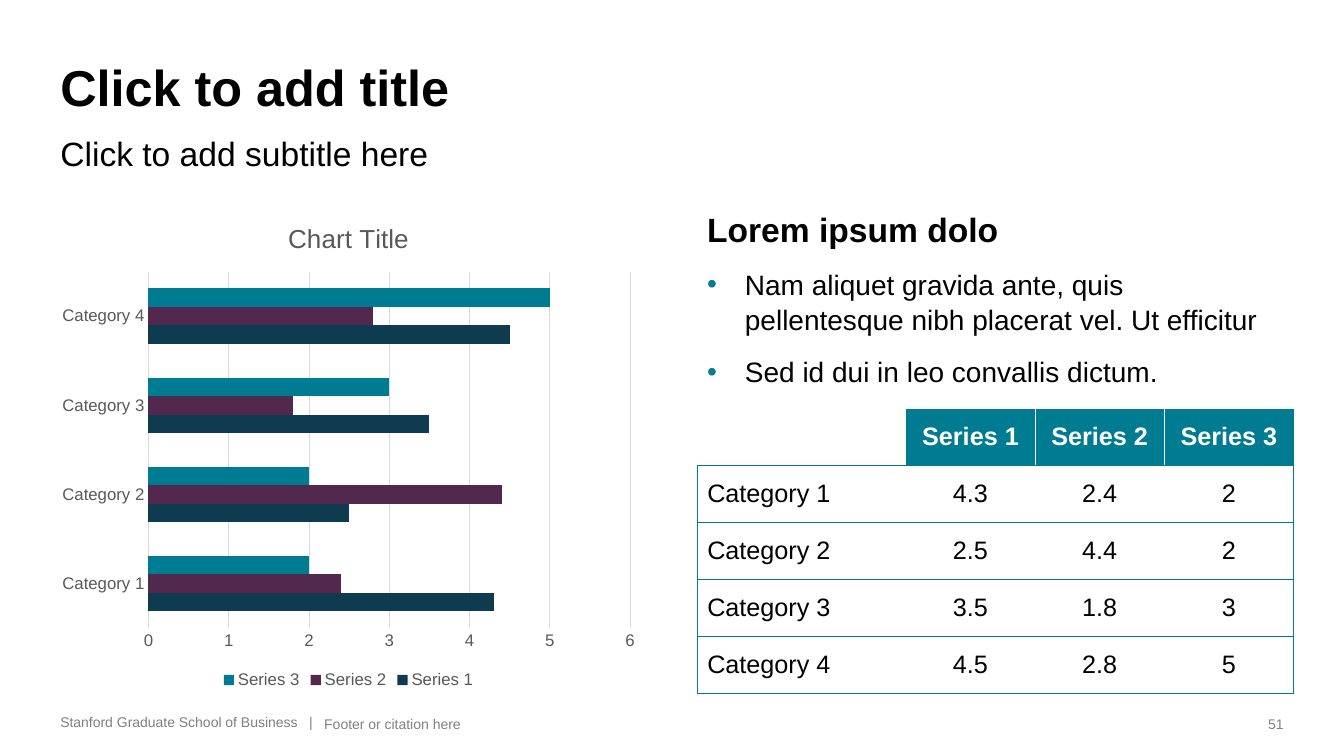
from dataclasses import dataclass

from lxml import etree
from pptx import Presentation
from pptx.chart.data import CategoryChartData
from pptx.dml.color import RGBColor
from pptx.enum.chart import XL_CHART_TYPE as Chart, XL_LEGEND_POSITION as Legend
from pptx.enum.chart import XL_TICK_MARK as Tick
from pptx.enum.text import MSO_ANCHOR as Anchor, PP_ALIGN as Align
from pptx.oxml.ns import qn
from pptx.util import Pt

FONT = "Arial"
BLACK, WHITE, TEAL = "000000", "FFFFFF", "007C92"
GRAY, CHART_TEXT, GRID = "808080", "595959", "D9D9D9"
LEFT, RIGHT_COL, COL_W = 36, 498, 426

CATEGORIES = [f"Category {n}" for n in range(1, 5)]


@dataclass
class Series:
    name: str
    values: tuple[float, ...]
    color: str


@dataclass
class Para:
    text: str
    size: float
    color: str = BLACK
    bold: bool = False
    bullet: bool = False
    before: float = 0
    align: Align = Align.LEFT
    spacing: float = 1


@dataclass
class TextBox:
    left: float
    top: float
    width: float
    height: float
    paras: list[Para]
    anchor: Anchor = Anchor.TOP
    wrap: bool = True


SERIES = [
    Series("Series 1", (4.3, 2.5, 3.5, 4.5), "0E3B50"),
    Series("Series 2", (2.4, 4.4, 1.8, 2.8), "53284F"),
    Series("Series 3", (2, 2, 3, 5), TEAL),
]

BOXES = [
    TextBox(LEFT, 36, 888, 51, [Para("Click to add title", 36, bold=True)], Anchor.BOTTOM),
    TextBox(LEFT, 90, 888, 41, [Para("Click to add subtitle here", 24, spacing=1.05)]),
    TextBox(RIGHT_COL, 144, COL_W, 126, [
        Para("Lorem ipsum dolo", 24, bold=True, spacing=1.05),
        Para("Nam aliquet gravida ante, quis pellentesque nibh placerat vel. Ut efficitur",
             20, bullet=True, before=12, spacing=1.05),
        Para("Sed id dui in leo convallis dictum.", 20, bullet=True, before=12, spacing=1.05),
    ]),
    TextBox(LEFT, 506, 196, 19.5, [Para("Stanford Graduate School of Business   |", 10, GRAY)],
            Anchor.BOTTOM, wrap=False),
    TextBox(224.5, 506, 660, 20.5, [Para("Footer or citation here", 10, GRAY)], Anchor.BOTTOM),
    TextBox(896, 506, 28, 20.5, [Para("51", 10, GRAY, align=Align.RIGHT)],
            Anchor.BOTTOM, wrap=False),
]


def rgb(color: str) -> RGBColor:
    return RGBColor.from_string(color)


def style_font(font, size: float, color: str, bold: bool = False) -> None:
    font.name, font.size, font.bold = FONT, Pt(size), bold
    font.color.rgb = rgb(color)


def add_solid(parent, color: str) -> None:
    fill = etree.SubElement(parent, qn("a:solidFill"))
    etree.SubElement(fill, qn("a:srgbClr"), val=color)


def add_bullet(p) -> None:
    pPr = p._p.get_or_add_pPr()
    pPr.set("marL", str(Pt(27)))
    pPr.set("indent", str(-Pt(27)))
    etree.SubElement(etree.SubElement(pPr, qn("a:buClr")), qn("a:srgbClr"), val=TEAL)
    etree.SubElement(pPr, qn("a:buFont"), typeface=FONT)
    etree.SubElement(pPr, qn("a:buChar"), char="•")


def write_para(p, para: Para) -> None:
    if para.bullet:
        add_bullet(p)
    p.alignment = para.align
    if para.before:
        p.space_before = Pt(para.before)
    if para.spacing != 1:
        p.line_spacing = para.spacing
    r = p.add_run()
    r.text = para.text
    style_font(r.font, para.size, para.color, para.bold)


def add_text(slide, box: TextBox) -> None:
    sp = slide.shapes.add_textbox(Pt(box.left), Pt(box.top), Pt(box.width), Pt(box.height))
    tf = sp.text_frame
    tf.word_wrap, tf.vertical_anchor = box.wrap, box.anchor
    for i, para in enumerate(box.paras):
        write_para(tf.add_paragraph() if i else tf.paragraphs[0], para)


def set_borders(cell, colors: dict[str, str]) -> None:
    """Draw the sides named in colors (L, R, T, B) and clear the others."""
    tcPr = cell._tc.get_or_add_tcPr()
    for i, side in enumerate("LRTB"):
        ln = etree.Element(qn(f"a:ln{side}"), w=str(Pt(0.5)))
        if side in colors:
            add_solid(ln, colors[side])
        else:
            etree.SubElement(ln, qn("a:noFill"))
        tcPr.insert(i, ln)


def cell_borders(row: int, col: int) -> dict[str, str]:
    last = len(SERIES)
    borders = {"B": TEAL}
    if row:
        borders["T"] = TEAL
        if col == 0:
            borders["L"] = TEAL
        if col == last:
            borders["R"] = TEAL
    else:
        if col > 1:
            borders["L"] = WHITE
        if 0 < col < last:
            borders["R"] = WHITE
    return borders


def add_data_table(slide) -> None:
    rows = [["", *(s.name for s in SERIES)]]
    for i, category in enumerate(CATEGORIES):
        rows.append([category, *(str(s.values[i]) for s in SERIES)])
    table = slide.shapes.add_table(len(rows), len(rows[0]), Pt(RIGHT_COL), Pt(292),
                                   Pt(COL_W), Pt(203)).table
    table.first_row = table.horz_banding = False
    for col, width in zip(table.columns, (149.1, 92.3, 92.3, 92.3)):
        col.width = Pt(width)
    for r, texts in enumerate(rows):
        table.rows[r].height = Pt(40.6)
        for c, text in enumerate(texts):
            cell = table.cell(r, c)
            cell.vertical_anchor = Anchor.MIDDLE
            header = r == 0
            if header and text:
                cell.fill.solid()
                cell.fill.fore_color.rgb = rgb(TEAL)
            else:
                cell.fill.background()
            set_borders(cell, cell_borders(r, c))
            if text:
                write_para(cell.text_frame.paragraphs[0],
                           Para(text, 18, WHITE if header else BLACK, header,
                                align=Align.CENTER if c else Align.LEFT))


def add_bar_chart(slide) -> None:
    data = CategoryChartData()
    data.categories = CATEGORIES
    for s in SERIES:
        data.add_series(s.name, s.values)
    chart = slide.shapes.add_chart(Chart.BAR_CLUSTERED, Pt(LEFT), Pt(144), Pt(COL_W),
                                   Pt(351), data).chart
    style_font(chart.font, 10, BLACK)
    chart.has_title = True
    r = chart.chart_title.text_frame.paragraphs[0].add_run()
    r.text = "Chart Title"
    style_font(r.font, 18.6, CHART_TEXT)
    chart.chart_title.include_in_layout = False

    plot = chart.plots[0]
    plot.gap_width, plot.overlap, plot.vary_by_categories = 182, 0, False
    for bars, s in zip(plot.series, SERIES):
        bars.format.fill.solid()
        bars.format.fill.fore_color.rgb = rgb(s.color)

    for axis in (chart.category_axis, chart.value_axis):
        axis.major_tick_mark = axis.minor_tick_mark = Tick.NONE
        style_font(axis.tick_labels.font, 12, CHART_TEXT)
    value_axis = chart.value_axis
    value_axis.minimum_scale, value_axis.maximum_scale, value_axis.major_unit = 0, 6, 1
    value_axis.format.line.fill.background()
    for line in (chart.category_axis.format.line, value_axis.major_gridlines.format.line):
        line.width = Pt(0.75)
        line.color.rgb = rgb(GRID)

    chart.has_legend = True
    chart.legend.position = Legend.BOTTOM
    chart.legend.include_in_layout = False
    style_font(chart.legend.font, 12, CHART_TEXT)


def main() -> None:
    prs = Presentation()
    prs.slide_width, prs.slide_height = Pt(960), Pt(540)
    slide = prs.slides.add_slide(prs.slide_layouts[6])
    for box in BOXES:
        add_text(slide, box)
    add_data_table(slide)
    add_bar_chart(slide)
    prs.save("out.pptx")


if __name__ == "__main__":
    main()
